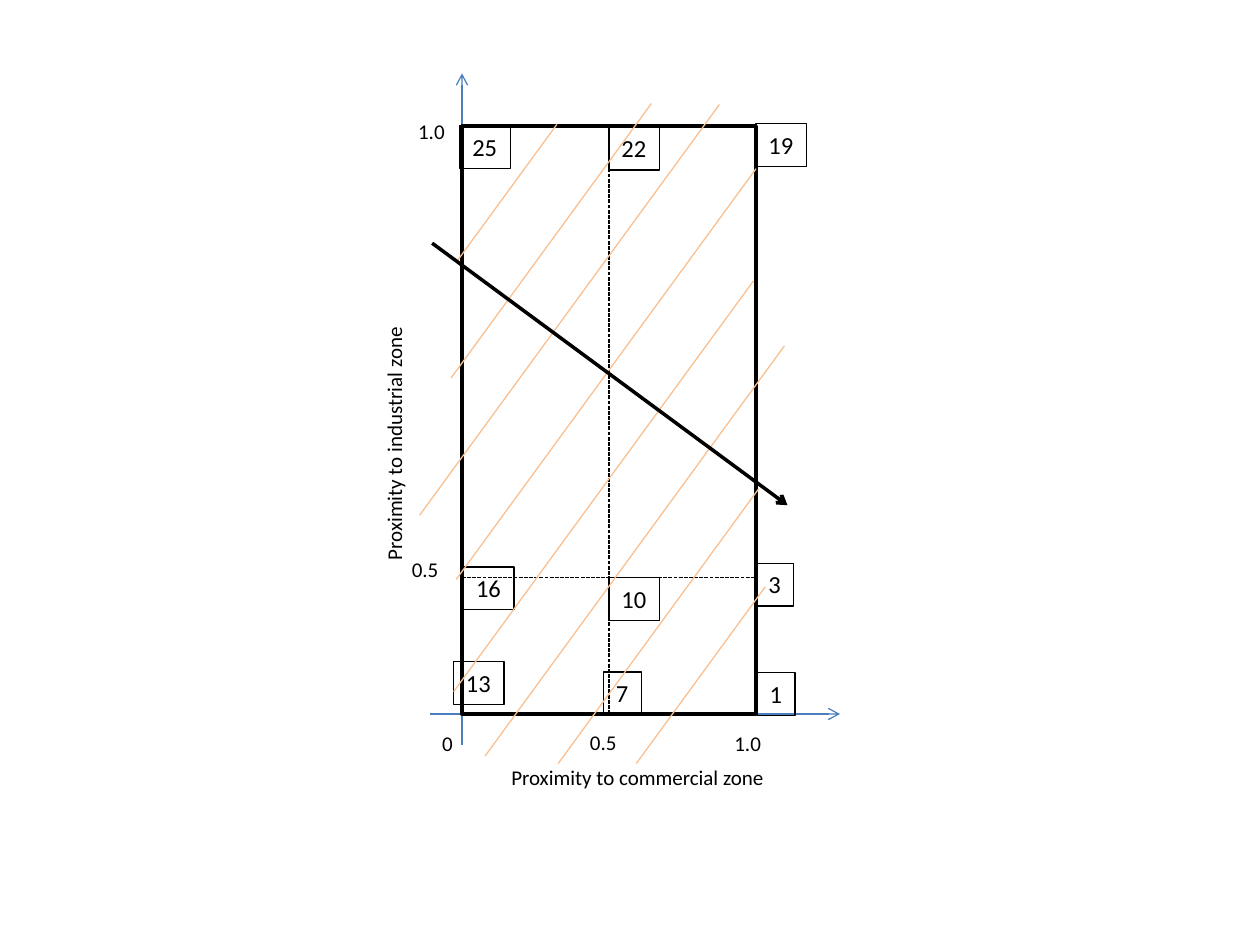
import pptx
import pptx.util
import pptx.dml.color
import pptx.enum.dml
import pptx.enum.shapes
import pptx.enum.text
import pptx.oxml.ns
import lxml.etree

CELL = pptx.util.Inches(1) / 12
PLOT = (44, 12, 28, 56)
BLACK, BLUE, PEACH = "000000", "4B7EBC", "FAC090"
SLOPE = 1.37

TAGS = [
    ("3", 28, 41.64), ("1", 28.12, 52.08), ("19", 28, -0.24),
    ("22", 14, 0.12), ("10", 14, 43), ("7", 13.48, 52),
    ("25", -0.2, 0), ("16", 0.16, 42), ("13", -0.8, 51),
]
HATCH = [
    (-0.56, 43.2, 28.56), (-0.8, 53.88, 28.56), (2.2, 60, 28.5),
    (9.16, 60.72, 19.08), (16.6, 60.72, 12.3), (-4.04, 37.08, 28.56),
    (-1.04, 24, 19.08), (-0.56, 13, 9.6),
]
TICKS = [
    ("0", -3.08, 57, 3.48), ("0.5", 11, 56.88, 5.04), ("1.0", 24.76, 57, 5.04),
    ("0.5", -5.96, 40.44, 5.04), ("1.0", -5.36, -1.32, 5.04),
]


def cells(*nums):
    return [round(n * CELL) for n in nums]


def paint(line, color, width):
    line.color.rgb = pptx.dml.color.RGBColor.from_string(color)
    line.width = pptx.util.Pt(width)


def stroke(slide, box, ends, color, width=0.75, arrow=False, dash=False):
    x, y = box[:2]
    x1, y1, x2, y2 = ends
    kind = pptx.enum.shapes.MSO_CONNECTOR.STRAIGHT
    link = slide.shapes.add_connector(kind, *cells(x + x1, y + y1, x + x2, y + y2))
    paint(link.line, color, width)
    props = link.element.spPr
    if dash:
        link.line.dash_style = pptx.enum.dml.MSO_LINE.SQUARE_DOT
    if arrow:
        line = props.find(pptx.oxml.ns.qn("a:ln"))
        lxml.etree.SubElement(line, pptx.oxml.ns.qn("a:tailEnd"), type="arrow")
    lxml.etree.SubElement(props, pptx.oxml.ns.qn("a:effectLst"))


def label(slide, box, text, x, y, w, h=3.6, size=12):
    shape = slide.shapes.add_textbox(*cells(box[0] + x, box[1] + y, w, h))
    frame = shape.text_frame
    frame.text = text
    frame.word_wrap = False
    frame.auto_size = pptx.enum.text.MSO_AUTO_SIZE.SHAPE_TO_FIT_TEXT
    font = frame.paragraphs[0].runs[0].font
    font.name = "Calibri"
    font.size = pptx.util.Pt(size)
    font.color.rgb = pptx.dml.color.RGBColor.from_string(BLACK)
    return shape


def draw_frame(slide, box):
    w, h = box[2:]
    stroke(slide, box, (-3, h, w + 8, h), BLUE, arrow=True)
    stroke(slide, box, (0, h + 3, 0, -5), BLUE, arrow=True)
    rect = slide.shapes.add_shape(pptx.enum.shapes.MSO_SHAPE.RECTANGLE, *cells(*box))
    rect.shadow.inherit = False
    rect.fill.background()
    paint(rect.line, BLACK, 2)
    stroke(slide, box, (0, h - 13, w, h - 13), BLACK, dash=True)
    stroke(slide, box, (w / 2, h, w / 2, 0), BLACK, dash=True)


def draw_tags(slide, box):
    for text, x, y in TAGS:
        tag = label(slide, box, text, x, y, 2.4 + 1.2 * len(text), 4.08, 14)
        paint(tag.line, BLACK, 0.75)


def draw_hatch(slide, box):
    for x, y, run in HATCH:
        stroke(slide, box, (x, y, x + run, y - SLOPE * run), PEACH)
    stroke(slide, box, (-2.84, 11.16, 31, 36.12), BLACK, 2, arrow=True)


def draw_names(slide, box):
    for tick in TICKS:
        label(slide, box, *tick)
    label(slide, box, "Proximity to commercial zone", 3.52, 60.24, 26.76)
    side = label(slide, box, "Proximity to industrial zone", -18.92, 28.32, 24.84)
    side.rotation = 270


def main():
    deck = pptx.Presentation()
    deck.slide_width, deck.slide_height = cells(120, 90)
    slide = deck.slides.add_slide(deck.slide_layouts[6])
    for draw in (draw_frame, draw_tags, draw_names, draw_hatch):
        draw(slide, PLOT)
    deck.save("out.pptx")


if __name__ == "__main__":
    main()
